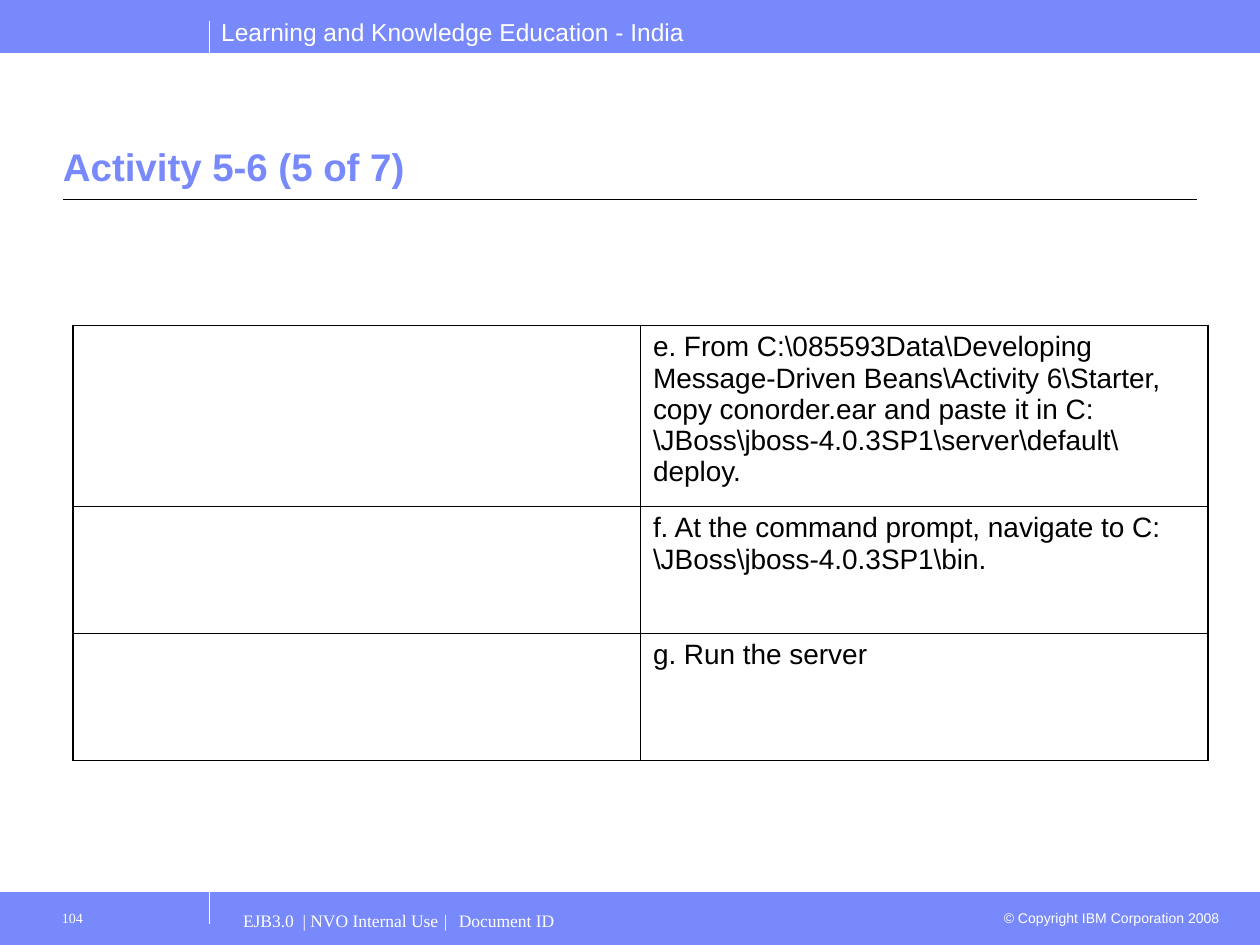
"""Build the activity slide with its header, footer and step table."""
import pptx
import pptx.dml.color
import pptx.enum.shapes
import pptx.enum.text
import pptx.oxml
import pptx.oxml.ns
import pptx.util
from pptx.util import Cm

BLUE = pptx.dml.color.RGBColor(0x78, 0x89, 0xFB)
WHITE = pptx.dml.color.RGBColor(0xFF, 0xFF, 0xFF)
BLACK = pptx.dml.color.RGBColor(0, 0, 0)
ALIGN = pptx.enum.text.PP_ALIGN
ANCHOR = pptx.enum.text.MSO_ANCHOR
NAMESPACE = pptx.oxml.ns.nsdecls("a")

WIDTH, HEIGHT = 25.4, 19.05
BAND = 1.06
FOOTER_TOP = HEIGHT - BAND
DIVIDER = 4.23
STEPS = [
    "e. From C:\\085593Data\\Developing Message-Driven Beans\\Activity 6\\Starter, "
    "copy conorder.ear and paste it in C:\\JBoss\\jboss-4.0.3SP1\\server\\default\\ deploy.",
    "f. At the command prompt, navigate to C:\\JBoss\\jboss-4.0.3SP1\\bin.",
    "g. Run the server",
]


class SlideWriter:
    """Holds the style and the current slide."""

    font = "Arial"
    footer_font = "Times New Roman"
    outer_border = 1.08
    inner_border = 0.45

    def __init__(self, slide):
        self.slide = slide

    def band(self, top):
        band = self.slide.shapes.add_shape(
            pptx.enum.shapes.MSO_SHAPE.RECTANGLE, Cm(0), Cm(top), Cm(WIDTH), Cm(BAND))
        band.shadow.inherit = False
        band.fill.solid()
        band.fill.fore_color.rgb = BLUE
        band.line.color.rgb = BLUE
        band.line.width = pptx.util.Pt(0.75)

    def rule(self, x1, y1, x2, y2, color, weight=0.75):
        rule = self.slide.shapes.add_connector(
            pptx.enum.shapes.MSO_CONNECTOR.STRAIGHT, Cm(x1), Cm(y1), Cm(x2), Cm(y2))
        rule.line.color.rgb = color
        rule.line.width = pptx.util.Pt(weight)
        rule._element.spPr.append(pptx.oxml.parse_xml(f"<a:effectLst {NAMESPACE}/>"))

    def run(self, paragraph, words, size, color, font=None, bold=False):
        run = paragraph.add_run()
        run.text = words
        run.font.name = font or self.font
        run.font.size = pptx.util.Pt(size)
        run.font.bold = bold
        run.font.color.rgb = color

    def text(self, box, words, size, color, font=None, bold=False, align=ALIGN.LEFT,
             anchor=ANCHOR.TOP, insets=(0.25, 0.13, 0.25, 0.13), tabs=()):
        frame = self.slide.shapes.add_textbox(*map(Cm, box)).text_frame
        frame.word_wrap = True
        frame.vertical_anchor = anchor
        (frame.margin_left, frame.margin_top,
         frame.margin_right, frame.margin_bottom) = map(Cm, insets)
        paragraph = frame.paragraphs[0]
        paragraph.alignment = align
        if tabs:
            stops = "".join(f'<a:tab pos="{Cm(stop)}" algn="l"/>' for stop in tabs)
            paragraph._p.get_or_add_pPr().append(
                pptx.oxml.parse_xml(f"<a:tabLst {NAMESPACE}>{stops}</a:tabLst>"))
        self.run(paragraph, words, size, color, font, bold)

    def borders(self, cell, outer_sides):
        properties = cell._tc.get_or_add_tcPr()
        for position, side in enumerate("LRTB"):
            weight = self.outer_border if side in outer_sides else self.inner_border
            properties.insert(position, pptx.oxml.parse_xml(
                f'<a:ln{side} {NAMESPACE} w="{pptx.util.Pt(weight)}"><a:solidFill>'
                f'<a:srgbClr val="{BLACK}"/></a:solidFill></a:ln{side}>'))

    def step_table(self, left, top, column_width, row_heights, steps):
        table = self.slide.shapes.add_table(
            len(steps), 2, Cm(left), Cm(top),
            Cm(2 * column_width), Cm(sum(row_heights))).table
        table.first_row = table.horz_banding = False
        for column in table.columns:
            column.width = Cm(column_width)
        for index, (step, height) in enumerate(zip(steps, row_heights)):
            table.rows[index].height = Cm(height)
            vertical = "T" * (index == 0) + "B" * (index == len(steps) - 1)
            for column, side in enumerate("LR"):
                cell = table.cell(index, column)
                cell.fill.background()
                self.borders(cell, side + vertical)
            paragraph = table.cell(index, 1).text_frame.paragraphs[0]
            paragraph.space_after = pptx.util.Pt(10)
            self.run(paragraph, step, 16, BLACK)


def main():
    deck = pptx.Presentation()
    deck.slide_width, deck.slide_height = Cm(WIDTH), Cm(HEIGHT)
    writer = SlideWriter(deck.slides.add_slide(deck.slide_layouts[6]))

    for top in (FOOTER_TOP, 0):
        writer.band(top)
    writer.text((4.21, 0.21, 10.4, 0.86), "Learning and Knowledge Education - India",
                14, WHITE)
    writer.text((19.89, 18.21, 4.95, 0.61), "© Copyright IBM Corporation 2008",
                8, WHITE, align=ALIGN.RIGHT)
    for edge in (BAND, FOOTER_TOP):
        writer.rule(0, edge, WIDTH, edge, BLUE, 0.5)
    for start, end in ((18.62, FOOTER_TOP), (BAND, 0.43)):
        writer.rule(DIVIDER, start, DIVIDER, end, WHITE)
    writer.rule(1.27, 4.02, WIDTH - 1.27, 4.02, BLACK)

    writer.text((1.27, 1.61, 22.86, 2.34), "Activity 5-6 (5 of 7)", 22, BLUE, bold=True,
                anchor=ANCHOR.BOTTOM, insets=(0, 0.13, 0, 0.13))
    writer.step_table(1.47, 6.56, 11.44, (3.65, 2.56, 2.56), STEPS)

    writer.text((4.65, 18.16, 15.24, 0.89), "EJB3.0\t| NVO Internal Use\t|\tDocument ID",
                10, WHITE, writer.footer_font, insets=(0.25, 0.18, 0.25, 0.13),
                tabs=(1.2, 4.05, 4.35))
    writer.text((0.84, 18.16, 3.38, 0.89), "104", 8, WHITE, writer.footer_font,
                insets=(0.41, 0.18, 0.25, 0.13))
    deck.save("out.pptx")


if __name__ == "__main__":
    main()
